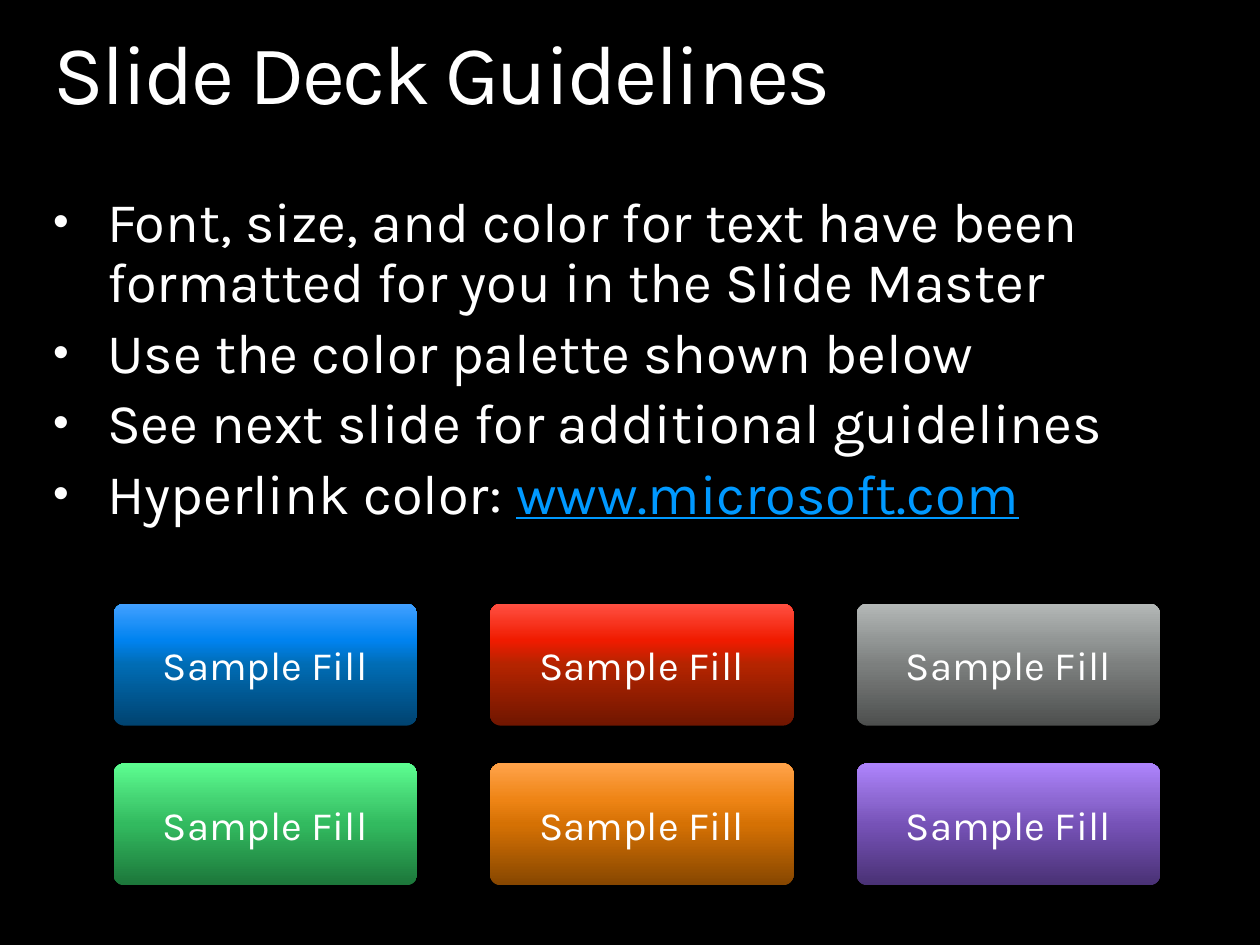
from lxml import etree
from pptx import Presentation
from pptx.dml.color import RGBColor
from pptx.enum.shapes import MSO_SHAPE
from pptx.enum.text import MSO_ANCHOR, PP_ALIGN
from pptx.oxml.ns import qn
from pptx.util import Cm, Pt

ROUNDED = MSO_SHAPE.ROUNDED_RECTANGLE
MIDDLE = MSO_ANCHOR.MIDDLE
CENTER = PP_ALIGN.CENTER

FONT = "Karla"
COLORS = {"background": "000000", "text": "FFFFFF", "link": "0099FF"}
STOPS = (0, 50, 70, 100)
PALETTE = {
    "blue": ("004370", "006CB4", "0083F0", "42A0FF"),
    "red": ("701600", "B42400", "F01B00", "FF5042"),
    "gray": ("4D4F4E", "7C7F7E", "929695", "B4B8B7"),
    "green": ("1C763A", "32BA5F", "44D373", "5DFE91"),
    "orange": ("864600", "D57104", "EE8415", "FFA34A"),
    "purple": ("493174", "7652B7", "8D68D2", "AE84FD"),
}
SWATCH_GRID = (("blue", "red", "gray"), ("green", "orange", "purple"))
SWATCH_LEFTS = (2.29, 9.88, 17.27)
SWATCH_TOPS = (12.17, 15.39)
BULLETS = (
    (("Font, size, and color for text have been formatted for you in the Slide Master", "text"),),
    (("Use the color palette shown below", "text"),),
    (("See next slide for additional guidelines", "text"),),
    (("Hyperlink color: ", "text"), ("www.microsoft.com", "link")),
)


class SlideBuilder:
    """Draw styled elements on the current slide."""

    def __init__(self, s):
        self.s = s
        s.background.fill.solid()
        s.background.fill.fore_color.rgb = RGBColor.from_string(COLORS["background"])

    def run(self, p, text, size, color="text"):
        r = p.add_run()
        r.text = text
        r.font.name = FONT
        r.font.size = Pt(size)
        r.font.color.rgb = RGBColor.from_string(COLORS[color])
        r.font.underline = color == "link"
        return r

    def text_frame(self, left, top, width, height):
        tf = self.s.shapes.add_textbox(Cm(left), Cm(top), Cm(width), Cm(height)).text_frame
        tf.word_wrap = True
        tf.margin_left = tf.margin_top = tf.margin_right = tf.margin_bottom = 0
        return tf

    def title(self, text, *box):
        p = self.text_frame(*box).paragraphs[0]
        p.line_spacing = 0.9
        r = self.run(p, text, 48)
        r.font._element.set("spc", "-150")

    def bullets(self, items, *box):
        tf = self.text_frame(*box)
        for i, parts in enumerate(items):
            p = tf.add_paragraph() if i else tf.paragraphs[0]
            pPr = p._p.get_or_add_pPr()
            pPr.set("marL", str(Cm(1.09)))
            pPr.set("indent", str(-Cm(1.09)))
            etree.SubElement(pPr, qn("a:buSzPct")).set("val", "80000")
            etree.SubElement(pPr, qn("a:buFont")).set("typeface", "Arial")
            etree.SubElement(pPr, qn("a:buChar")).set("char", "•")
            p.line_spacing = 0.9
            p.space_before = Pt(5.7 if i else 0)
            for text, color in parts:
                self.run(p, text, 32, color)

    def swatch(self, text, shades, left, top):
        sp = self.s.shapes.add_shape(ROUNDED, Cm(left), Cm(top), Cm(6.12), Cm(2.46))
        sp.adjustments[0] = 0.09
        sp.shadow.inherit = False
        sp.line.fill.background()
        sp.fill.gradient()
        sp.fill.gradient_angle = 90
        stops = sp._element.spPr.find(qn("a:gradFill")).find(qn("a:gsLst"))
        for stop in list(stops):
            stops.remove(stop)
        for position, shade in zip(STOPS, shades):
            stop = etree.SubElement(stops, qn("a:gs"), pos=str(position * 1000))
            etree.SubElement(stop, qn("a:srgbClr"), val=shade)
        tf = sp.text_frame
        tf.word_wrap = True
        tf.vertical_anchor = MIDDLE
        p = tf.paragraphs[0]
        p.alignment = CENTER
        self.run(p, text, 23)


def main():
    prs = Presentation()
    prs.slide_width, prs.slide_height = Cm(25.4), Cm(19.05)
    slide = SlideBuilder(prs.slides.add_slide(prs.slide_layouts[6]))
    slide.title("Slide Deck Guidelines", 1.07, 0.64, 23.29, 1.85)
    slide.bullets(BULLETS, 1.07, 3.91, 23.29, 6.15)
    for top, names in zip(SWATCH_TOPS, SWATCH_GRID):
        for left, name in zip(SWATCH_LEFTS, names):
            slide.swatch("Sample Fill", PALETTE[name], left, top)
    prs.save("out.pptx")


if __name__ == "__main__":
    main()
